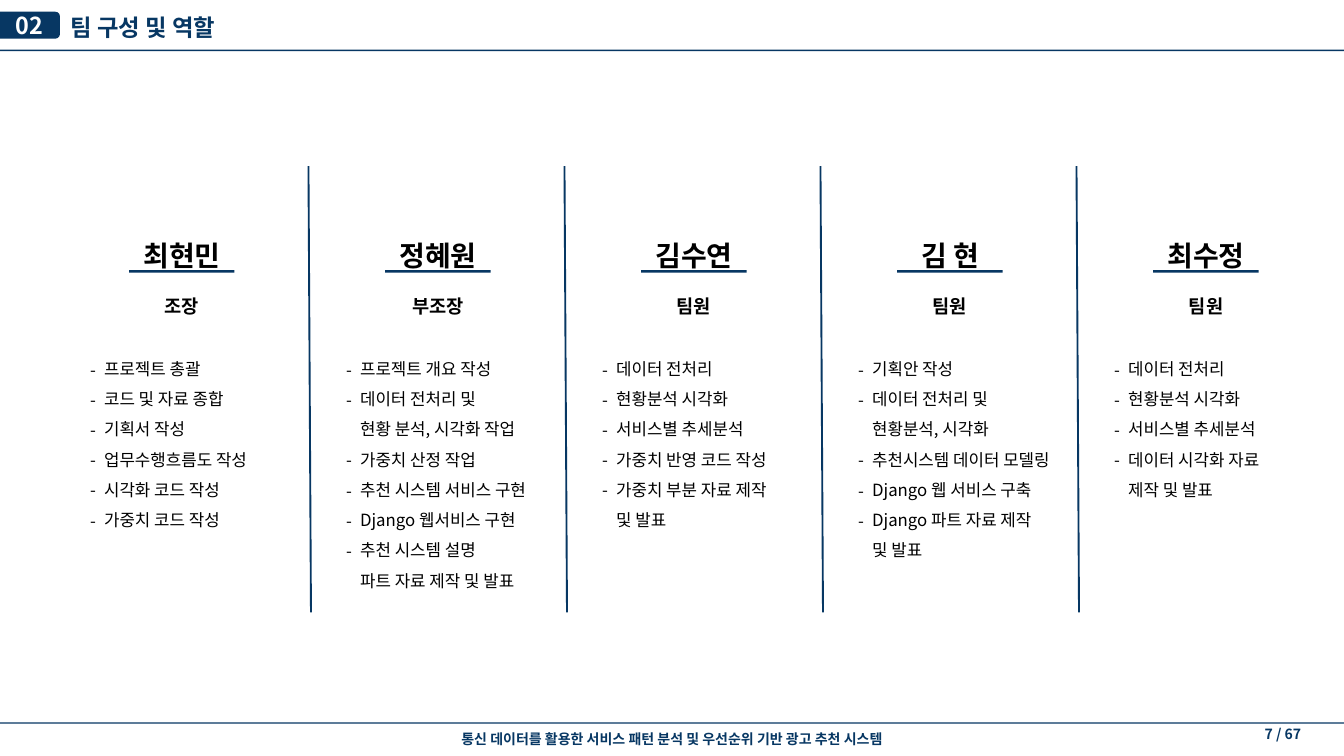
"""Build the team structure and roles slide."""
import pptx
import pptx.dml.color
import pptx.enum.shapes
import pptx.enum.text
import pptx.oxml.ns
import pptx.util
from lxml import etree

Pt = pptx.util.Pt
qn = pptx.oxml.ns.qn
SHAPES = pptx.enum.shapes.MSO_SHAPE
ALIGN = pptx.enum.text.PP_ALIGN
ANCHOR = pptx.enum.text.MSO_ANCHOR
FONT = "Noto Sans CJK KR"
NAVY = "073763"
BLACK = "000000"


def paint(color, value):
    color.rgb = pptx.dml.color.RGBColor.from_string(value)


def write(frame, lines, size, color=NAVY, bold=True, align=ALIGN.LEFT,
          spacing=1.0, margins=(0, 0), dashed=False):
    frame.word_wrap = True
    frame.margin_left = frame.margin_right = Pt(margins[0])
    frame.margin_top = frame.margin_bottom = Pt(margins[1])
    for index, line in enumerate(lines):
        paragraph = frame.add_paragraph() if index else frame.paragraphs[0]
        paragraph.text = line
        paragraph.alignment = align
        paragraph.line_spacing = spacing
        if dashed:
            properties = paragraph._p.get_or_add_pPr()
            properties.set("marL", str(Pt(15)))
            properties.set("indent", str(-Pt(15)))
            etree.SubElement(properties, qn("a:buFont"), typeface=FONT)
            etree.SubElement(properties, qn("a:buChar"), char="-")
        for run in paragraph.runs:
            run.font.name = FONT
            run.font.size = Pt(size)
            run.font.bold = bold
            paint(run.font.color, color)
            etree.SubElement(run._r.get_or_add_rPr(), qn("a:ea"), typeface=FONT)


members = [
    ("최현민", "조장", ["프로젝트 총괄", "코드 및 자료 종합", "기획서 작성",
                   "업무수행흐름도 작성", "시각화 코드 작성", "가중치 코드 작성"]),
    ("정혜원", "부조장", ["프로젝트 개요 작성", "데이터 전처리 및\v현황 분석, 시각화 작업",
                    "가중치 산정 작업", "추천 시스템 서비스 구현",
                    "Django 웹서비스 구현", "추천 시스템 설명\v파트 자료 제작 및 발표"]),
    ("김수연", "팀원", ["데이터 전처리", "현황분석 시각화", "서비스별 추세분석",
                   "가중치 반영 코드 작성", "가중치 부분 자료 제작\v및 발표"]),
    ("김 현", "팀원", ["기획안 작성", "데이터 전처리 및\v현황분석, 시각화",
                   "추천시스템 데이터 모델링", "Django 웹 서비스 구축",
                   "Django 파트 자료 제작\v및 발표"]),
    ("최수정", "팀원", ["데이터 전처리", "현황분석 시각화", "서비스별 추세분석",
                   "데이터 시각화 자료\v제작 및 발표"]),
]
first_left, pitch, column_width = 96.5, 274.3, 197

deck = pptx.Presentation()
deck.slide_width, deck.slide_height = Pt(1440), Pt(810)
slide = deck.slides.add_slide(deck.slide_layouts[6])
shapes = slide.shapes

bars = [(0, 53.3, 1440, 1.4), (0, 774, 1440, 1.4)]
bars += [(first_left + pitch * i + 41.8, 289.4, 113, 2.9) for i in range(len(members))]
for bar in bars:
    rule = shapes.add_shape(SHAPES.RECTANGLE, *map(Pt, bar))
    rule.shadow.inherit = False
    rule.fill.solid()
    paint(rule.fill.fore_color, NAVY)
    rule.line.fill.background()

badge = shapes.add_shape(SHAPES.ROUND_2_SAME_RECTANGLE, Pt(17.8), Pt(-5), Pt(28.8), Pt(64))
badge.rotation = 90
badge.shadow.inherit = False
badge.fill.solid()
paint(badge.fill.fore_color, NAVY)
badge.line.fill.background()
write(badge.text_frame, ["02"], 25, color="FFFFFF", align=ALIGN.CENTER)
badge.text_frame.vertical_anchor = ANCHOR.MIDDLE
badge.text_frame._txBody.bodyPr.set("vert", "vert270")

heading = shapes.add_textbox(Pt(75.6), Pt(8.6), Pt(438), Pt(36))
write(heading.text_frame, ["팀 구성 및 역할"], 25, spacing=1.2)

for i, (name, role, duties) in enumerate(members):
    left = first_left + pitch * i
    name_box = shapes.add_textbox(Pt(left), Pt(237.6), Pt(column_width), Pt(54.7))
    write(name_box.text_frame, [name], 30, color=BLACK, align=ALIGN.CENTER, spacing=1.5)
    role_box = shapes.add_textbox(Pt(left), Pt(303.8), Pt(column_width), Pt(36))
    write(role_box.text_frame, [role], 20, color=BLACK, align=ALIGN.CENTER, spacing=1.5)
    lines = sum(duty.count("\v") + 1 for duty in duties)
    duty_box = shapes.add_textbox(Pt(left), Pt(373.5), Pt(209), Pt(32.75 * lines))
    write(duty_box.text_frame, duties, 18, color=BLACK, bold=False, spacing=1.5, dashed=True)
    if i:
        x = left - 40.3
        divider = shapes.add_connector(pptx.enum.shapes.MSO_CONNECTOR.STRAIGHT,
                                       Pt(x), Pt(178), Pt(x + 2.7), Pt(656))
        paint(divider.line.color, NAVY)
        divider.line.width = Pt(2)
        etree.SubElement(divider._element.spPr, qn("a:effectLst"))

footer = shapes.add_textbox(Pt(360.7), Pt(774), Pt(718.6), Pt(28))
write(footer.text_frame, ["통신 데이터를 활용한 서비스 패턴 분석 및 우선순위 기반 광고 추천 시스템"],
      15, align=ALIGN.CENTER, spacing=1.26, margins=(7.2, 3.6))
page = shapes.add_textbox(Pt(682.6), Pt(774), Pt(718.6), Pt(25.2))
write(page.text_frame, ["7 / 67"], 15, align=ALIGN.RIGHT, margins=(7.2, 3.6))

deck.save("out.pptx")
